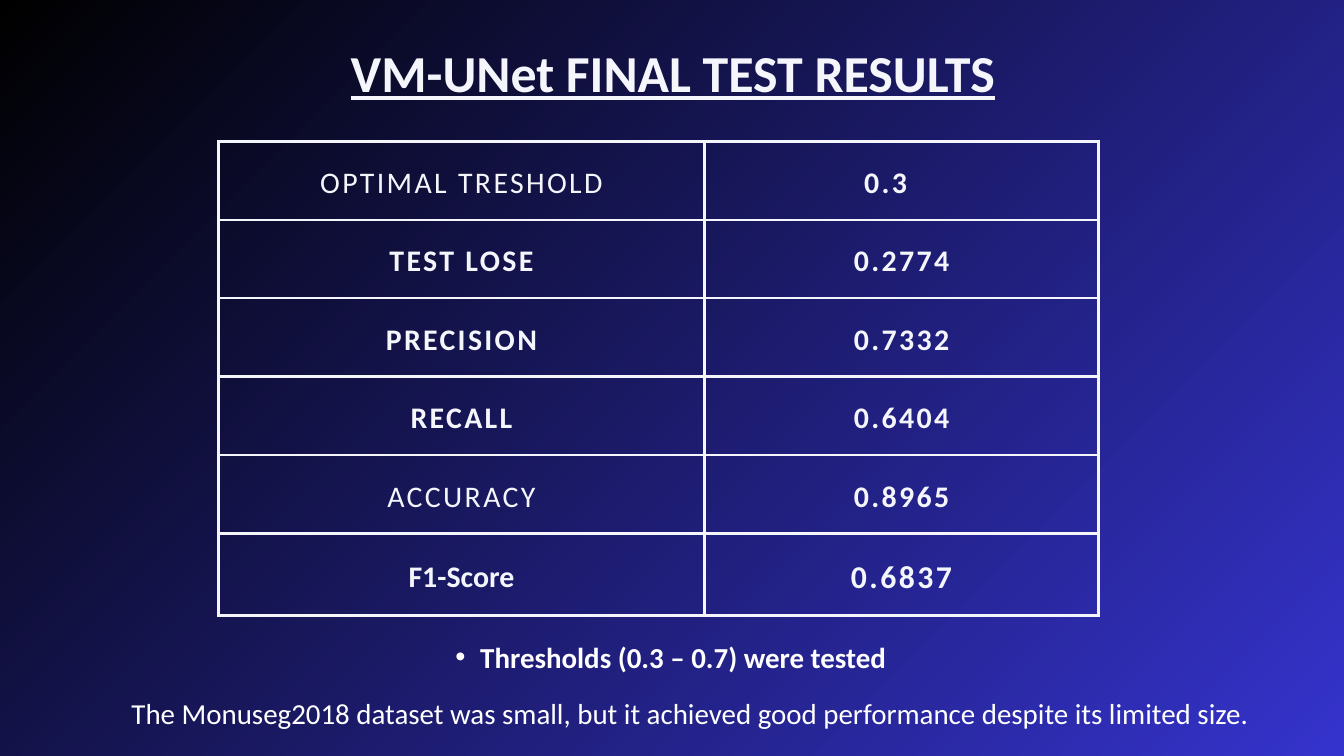
from lxml import etree
from pptx import Presentation
from pptx.dml.color import RGBColor
from pptx.enum.text import MSO_ANCHOR, MSO_AUTO_SIZE, PP_ALIGN
from pptx.oxml.ns import qn
from pptx.util import Pt

CENTER = PP_ALIGN.CENTER
TOP = MSO_ANCHOR.TOP
MIDDLE = MSO_ANCHOR.MIDDLE
NO_AUTOFIT = MSO_AUTO_SIZE.NONE

BLACK = RGBColor(0x00, 0x00, 0x00)
BLUE = RGBColor(0x35, 0x33, 0xCD)
PALE = RGBColor(0xF4, 0xF6, 0xFC)
WHITE = RGBColor(0xFF, 0xFF, 0xFF)


def add_text(frame, text, size, color, bold, line_spacing):
    paragraph = frame.paragraphs[0]
    paragraph.alignment = CENTER
    paragraph.line_spacing = Pt(line_spacing)
    paragraph.space_before = Pt(0)
    run = paragraph.add_run()
    run.text = text
    run.font.name = "Calibri"
    run.font.size = Pt(size)
    run.font.bold = bold
    run.font.color.rgb = color
    return run


def place(shape, left, top, width, height):
    shape.left, shape.top = Pt(left), Pt(top)
    shape.width, shape.height = Pt(width), Pt(height)
    frame = shape.text_frame
    frame.word_wrap = True
    frame.auto_size = NO_AUTOFIT
    frame.vertical_anchor = TOP
    frame.margin_left = frame.margin_right = Pt(0)
    frame.margin_top = frame.margin_bottom = Pt(0)
    return frame


presentation = Presentation()
presentation.slide_width = Pt(1440)
presentation.slide_height = Pt(810)
slide = presentation.slides.add_slide(presentation.slide_layouts[1])

background = slide.background.fill
background.gradient()
background.gradient_angle = 315
for stop, color, position in zip(background.gradient_stops, (BLACK, BLUE), (0, 1)):
    stop.color.rgb = color
    stop.position = position

title = place(slide.shapes.title, 2, 44, 1438, 107)
title_run = add_text(title, "VM-UNet FINAL TEST RESULTS", 55.6, PALE, True, 66.7)
title_run.font.underline = True

results = [
    ("OPTIMAL TRESHOLD", False, "0.3"),
    ("TEST LOSE", True, "0.2774"),
    ("PRECISION", True, "0.7332"),
    ("RECALL", True, "0.6404"),
    ("ACCURACY", False, "0.8965"),
    ("F1-Score", True, "0.6837"),
]
last = len(results) - 1
table = slide.shapes.add_table(
    len(results), 2, Pt(234), Pt(151.5), Pt(943), Pt(508)
).table
table.first_row = False
table.horz_banding = False
table.columns[0].width = Pt(521)
table.columns[1].width = Pt(422)

for row, (metric, metric_bold, value) in enumerate(results):
    table.rows[row].height = Pt(88 if row == last else 84)
    value_size, value_spacing, value_line = (34, 270, 47.6) if row == last else (32, 250, 44.8)
    entries = [
        (metric, 32, metric_bold, 0 if row == last else 250, 44.8),
        (value, value_size, True, value_spacing, value_line),
    ]
    for column, (text, size, bold, spacing, line) in enumerate(entries):
        cell = table.cell(row, column)
        cell.vertical_anchor = MIDDLE
        cell.margin_left = cell.margin_right = Pt(15)
        cell.margin_top = cell.margin_bottom = Pt(15)
        run = add_text(cell.text_frame, text, size, PALE, bold, line)
        run._r.get_or_add_rPr().set("spc", str(spacing))
        properties = cell._tc.get_or_add_tcPr()
        for side in ("a:lnL", "a:lnR", "a:lnT", "a:lnB"):
            border = etree.SubElement(properties, qn(side), w=str(Pt(3)))
            fill = etree.SubElement(border, qn("a:solidFill"))
            etree.SubElement(fill, qn("a:srgbClr"), val=str(PALE))
        cell.fill.background()
table.cell(0, 1).margin_right = Pt(49)

thresholds = place(slide.placeholders[1], 447, 684, 517, 38)
bullet_properties = thresholds.paragraphs[0]._p.get_or_add_pPr()
bullet_properties.set("marL", str(Pt(52.6)))
bullet_properties.set("indent", str(Pt(-26.6)))
etree.SubElement(bullet_properties, qn("a:buChar"), char="•")
add_text(thresholds, "Thresholds (0.3 – 0.7) were tested", 31, WHITE, True, 38.1)

conclusion = place(slide.shapes.add_textbox(0, 0, 0, 0), 103, 744, 1271.5, 38)
add_text(
    conclusion,
    "The Monuseg2018 dataset was small, but it achieved good performance despite its limited size.",
    31, WHITE, False, 38.1,
)

presentation.save("out.pptx")
